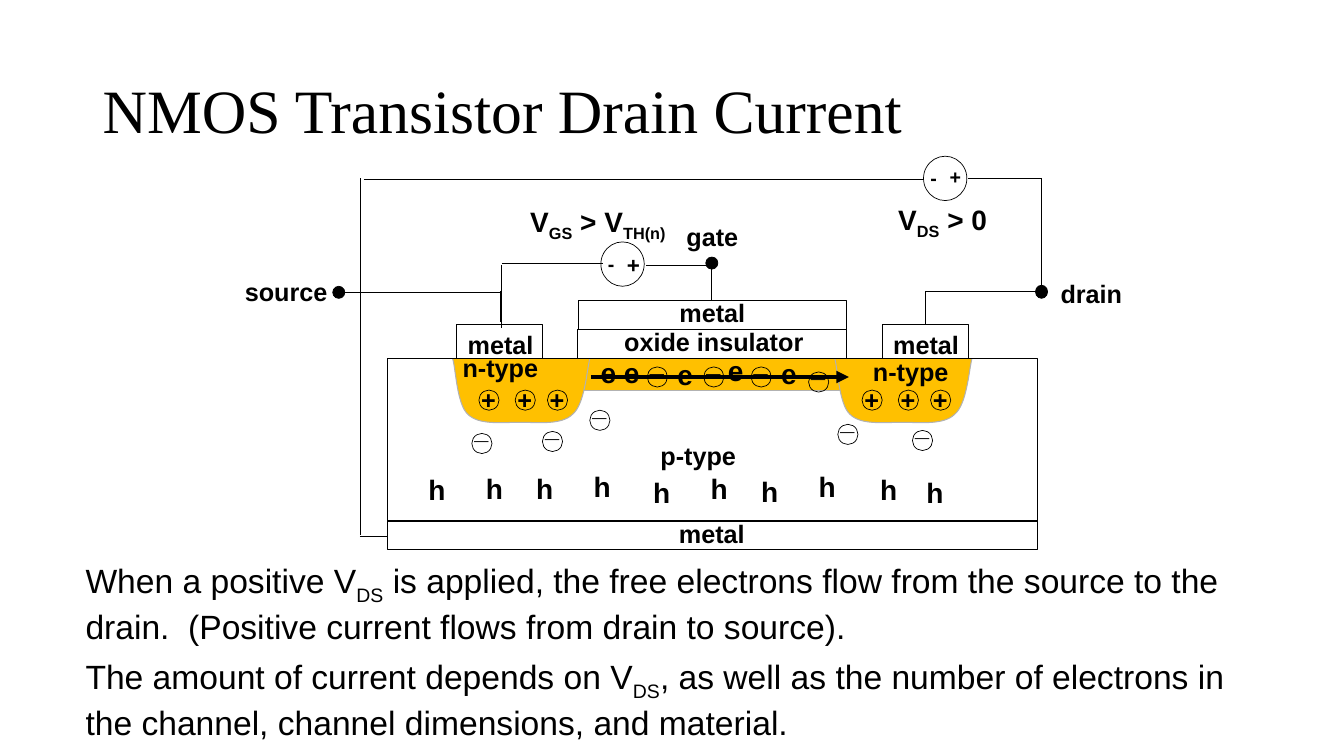
from dataclasses import dataclass
from typing import NamedTuple

from lxml import etree
from pptx import Presentation
from pptx.dml.color import RGBColor
from pptx.enum.shapes import MSO_CONNECTOR, MSO_SHAPE
from pptx.enum.text import MSO_ANCHOR, MSO_AUTO_SIZE, PP_ALIGN
from pptx.oxml.ns import qn
from pptx.util import Pt

RECT, OVAL = MSO_SHAPE.RECTANGLE, MSO_SHAPE.OVAL
STRAIGHT = MSO_CONNECTOR.STRAIGHT
LEFT, CENTER = PP_ALIGN.LEFT, PP_ALIGN.CENTER
TOP, MIDDLE = MSO_ANCHOR.TOP, MSO_ANCHOR.MIDDLE
FIT_TEXT = MSO_AUTO_SIZE.SHAPE_TO_FIT_TEXT
PX = 9144  # EMU per px, 100 px to the inch


@dataclass(frozen=True)
class Theme:
    ink: RGBColor = RGBColor(0, 0, 0)
    n_type: RGBColor = RGBColor(0xFF, 0xC0, 0x00)
    n_edge: RGBColor = RGBColor(0xB2, 0xB2, 0xB2)
    title_font: str = "Times New Roman"
    font: str = "Arial"
    title: int = 44
    body: int = 24
    symbol: int = 20
    label: int = 18
    plus: int = 16
    sign: int = 14
    hairline: float = 0.5
    well_line: float = 0.75
    arrow: float = 3


THEME = Theme()


class Box(NamedTuple):
    x: int
    y: int
    w: int
    h: int


class Wire(NamedTuple):
    x1: int
    y1: int
    x2: int
    y2: int


@dataclass(frozen=True)
class Label:
    """Text in a box; parts between bars are subscripts."""
    text: str
    box: Box
    size: int = THEME.label
    align: PP_ALIGN = LEFT
    wrap: bool = True
    bold: bool = True
    font: str = THEME.font
    anchor: MSO_ANCHOR = TOP
    line_spacing: float = 1.0
    gap: int = 0


@dataclass(frozen=True)
class Source:
    x: int
    y: int
    plus_size: int


def emu(box):
    return [v * PX for v in box]


def style(sp, fill, line, width) -> None:
    sp.shadow.inherit = False
    if fill is None:
        sp.fill.background()
    else:
        sp.fill.solid()
        sp.fill.fore_color.rgb = fill
    sp.line.color.rgb = line
    sp.line.width = Pt(width)


def add_shape(shapes, kind, box: Box, fill=None, line=THEME.ink) -> None:
    style(shapes.add_shape(kind, *emu(box)), fill, line, THEME.hairline)


def add_label(shapes, label: Label) -> None:
    tf = shapes.add_textbox(*emu(label.box)).text_frame
    tf.word_wrap = label.wrap
    tf.vertical_anchor = label.anchor
    if label.anchor == TOP:
        tf.auto_size = FIT_TEXT
    for i, text in enumerate(label.text.split("\n")):
        p = tf.add_paragraph() if i else tf.paragraphs[0]
        p.alignment = label.align
        p.line_spacing = label.line_spacing
        p.space_before = Pt(label.gap if i else 0)
        p.font.name, p.font.size, p.font.bold = label.font, Pt(label.size), label.bold
        p.font.color.rgb = THEME.ink
        for j, part in enumerate(text.split("|")):
            r = p.add_run()
            r.text = part
            if j % 2:
                r.font._element.set("baseline", "-25000")


def add_wire(shapes, wire: Wire, width: float = THEME.hairline, arrow: bool = False) -> None:
    cxn = shapes.add_connector(STRAIGHT, *emu(wire))
    cxn.line.color.rgb = THEME.ink
    cxn.line.width = Pt(width)
    if arrow:
        etree.SubElement(cxn.line._get_or_add_ln(), qn("a:tailEnd"), type="triangle")
    etree.SubElement(cxn._element.spPr, qn("a:effectLst"))


def add_well(shapes, x: int, y: int, steps: int = 16) -> None:
    """Draw an n-type well: four Bézier arcs from its top left corner."""
    arcs = [((3, 9), (4, 45), (15, 55)), ((26, 66), (49, 63), (67, 63)),
            ((84, 63), (108, 66), (119, 55)), ((131, 45), (133, 12), (136, 0))]
    start, points = (0, 0), []
    for c1, c2, end in arcs:
        for t in (k / steps for k in range(1, steps + 1)):
            weights = ((1 - t) ** 3, 3 * t * (1 - t) ** 2, 3 * t * t * (1 - t), t ** 3)
            px, py = (sum(w * q[axis] for w, q in zip(weights, (start, c1, c2, end)))
                      for axis in (0, 1))
            points.append((round((x + px) * PX), round((y + py) * PX)))
        start = end
    builder = shapes.build_freeform(x * PX, y * PX)
    builder.add_line_segments(points, close=False)
    style(builder.convert_to_shape(), THEME.n_type, THEME.n_edge, THEME.well_line)


def add_charge(shapes, sign: str, x: int, y: int) -> None:
    rise = 11 if sign == "+" else 24
    add_shape(shapes, OVAL, Box(x, y, 20, 20))
    add_label(shapes, Label(sign, Box(x - 10, y - rise, 39, 40), align=CENTER))


def add_source(shapes, source: Source) -> None:
    x, y = source.x, source.y
    add_shape(shapes, OVAL, Box(x, y, 43, 44))
    add_label(shapes, Label("-", Box(x - 3, y + 5, 38, 33), THEME.sign))
    add_label(shapes, Label("+", Box(x + 16, y + 4, 31, 35), source.plus_size))


TITLE = Label("NMOS Transistor Drain Current", Box(92, 40, 1150, 145), THEME.title,
              bold=False, font=THEME.title_font, anchor=MIDDLE, line_spacing=0.9)
BODY = Label(
    "When a positive V|DS| is applied, the free electrons flow from the source to the "
    "drain.\u00a0 (Positive current flows from drain to source).\n"
    "The amount of current depends on V|DS|, as well as the number of electrons in "
    "the channel, channel dimensions, and material.",
    Box(75, 551, 1167, 180), THEME.body, bold=False, gap=7)

CHANNEL = Box(576, 356, 272, 31)
WELLS = [(449, 356), (828, 356)]
LAYERS = [
    Box(384, 356, 645, 161), Box(384, 516, 645, 29),  # substrate, back metal
    Box(453, 322, 85, 34), Box(875, 322, 85, 34),  # source and drain metal
    Box(573, 327, 267, 29), Box(574, 298, 266, 29),  # oxide, gate metal
]
TERMINALS = [Box(1027, 283, 12, 13), Box(330, 284, 12, 12), Box(700, 255, 12, 12)]
WIRES = [
    Wire(497, 325, 497, 263), Wire(496, 319, 496, 289), Wire(339, 290, 496, 290),
    Wire(598, 261, 498, 261), Wire(641, 263, 706, 263), Wire(706, 263, 706, 298),
    Wire(918, 321, 918, 289), Wire(1033, 289, 918, 289), Wire(1033, 178, 1033, 290),
    Wire(361, 178, 915, 178), Wire(960, 177, 1033, 177),
    Wire(357, 177, 357, 531), Wire(357, 532, 384, 532),
]
CURRENT = Wire(586, 374, 842, 374)
SOURCES = [Source(596, 240, THEME.plus), Source(916, 155, THEME.sign)]
LABELS = [
    Label("n-type", Box(449, 345, 123, 40)),
    Label("n-type", Box(856, 349, 123, 40)),
    Label("metal", Box(454, 322, 85, 40), align=CENTER, wrap=False),
    Label("metal", Box(876, 322, 85, 40), align=CENTER, wrap=False),
    Label("metal", Box(664, 290, 85, 40), align=CENTER, wrap=False),
    Label("oxide insulator", Box(609, 319, 198, 40), align=CENTER, wrap=False),
    Label("p-type", Box(645, 432, 95, 40), align=CENTER, wrap=False),
    Label("metal", Box(641, 509, 130, 40), align=CENTER),
    Label("gate", Box(657, 215, 99, 40), align=CENTER),
    Label("source", Box(233, 269, 105, 40)),
    Label("drain", Box(1042, 271, 112, 40)),
    Label("V|GS| > V|TH(n)|", Box(516, 198, 162, 43), THEME.symbol, wrap=False),
    Label("V|DS| > 0", Box(881, 196, 111, 43), THEME.symbol, wrap=False),
]
DONORS = [(start + step, 387) for start in (475, 855) for step in (0, 36, 68)]
ACCEPTORS = [(538, 428), (468, 430), (585, 407), (831, 421), (905, 427),
             (802, 369), (642, 364), (698, 364), (745, 364)]
CARRIERS = {
    "h": [(415, 464), (472, 463), (522, 463), (579, 461), (638, 467),
          (695, 463), (745, 466), (802, 461), (863, 464), (909, 467)],
    "e": [(586, 348), (609, 348), (662, 350), (712, 346), (765, 349)],
}


def main() -> None:
    prs = Presentation()
    prs.slide_width, prs.slide_height = 1333 * PX, 750 * PX
    shapes = prs.slides.add_slide(prs.slide_layouts[6]).shapes

    # Silicon, oxide and metal
    add_shape(shapes, RECT, CHANNEL, THEME.n_type, THEME.n_edge)
    for x, y in WELLS:
        add_well(shapes, x, y)
    for box in LAYERS:
        add_shape(shapes, RECT, box)

    # Circuit
    for wire in WIRES:
        add_wire(shapes, wire)
    for box in TERMINALS:
        add_shape(shapes, OVAL, box, THEME.ink)
    for source in SOURCES:
        add_source(shapes, source)

    # Charges and carriers
    for sign, places in (("+", DONORS), ("_", ACCEPTORS)):
        for x, y in places:
            add_charge(shapes, sign, x, y)
    for letter, places in CARRIERS.items():
        for x, y in places:
            add_label(shapes, Label(letter, Box(x, y, 37, 43), THEME.symbol, wrap=False))
    add_wire(shapes, CURRENT, THEME.arrow, arrow=True)

    # Text
    for label in (*LABELS, TITLE, BODY):
        add_label(shapes, label)
    prs.save("out.pptx")


if __name__ == "__main__":
    main()
